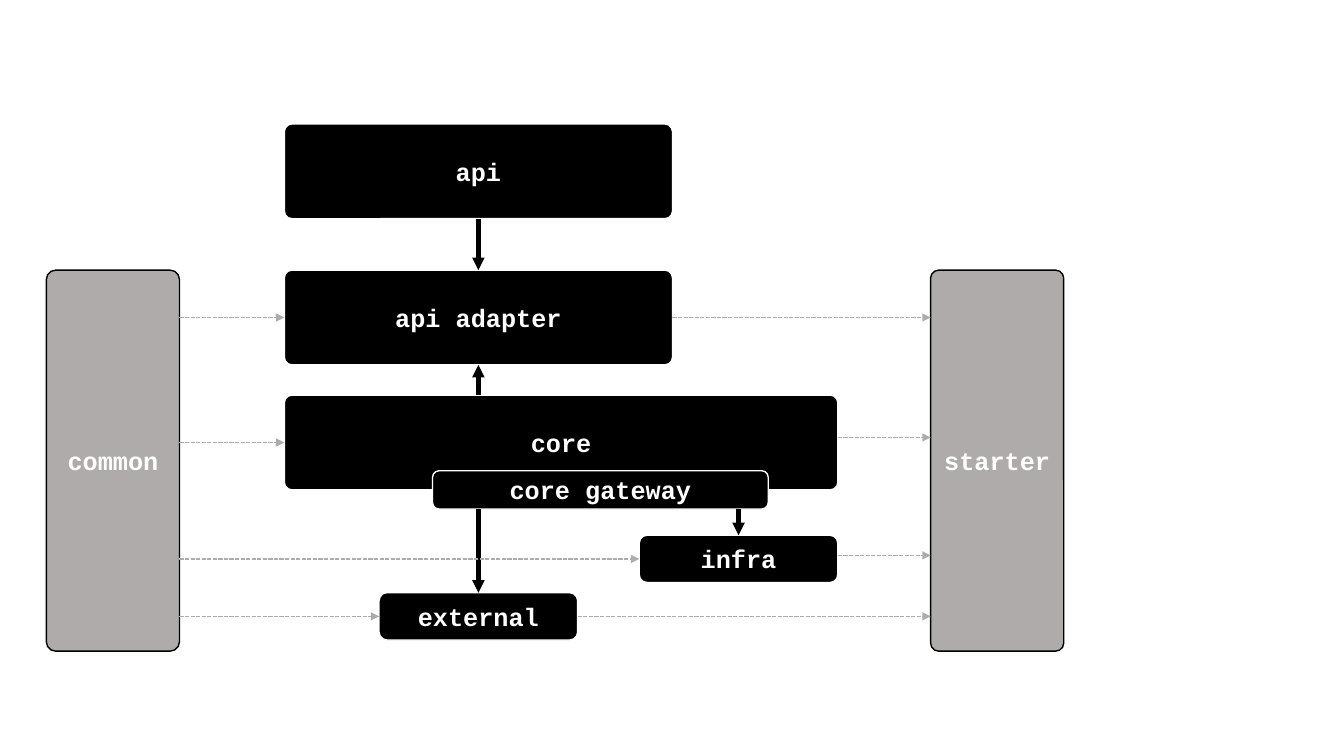
import pptx
import pptx.dml.color
import pptx.enum.dml
import pptx.enum.shapes
import pptx.enum.text
import pptx.oxml.ns
import pptx.util
from lxml import etree
from pptx.util import Inches

COLORS = {"black": "000000", "white": "FFFFFF", "gray": "AFABAB"}
TOP, LEFT, BOTTOM, RIGHT = range(4)
MODULE_X, MODULE_WIDTH, MODULE_HEIGHT = 2.82, 3.85, 0.94
SMALL_WIDTH, SMALL_HEIGHT = 1.97, 0.47
SIDE_Y, SIDE_WIDTH, SIDE_HEIGHT = 2.68, 1.32, 3.78
MODULE_ROUNDING, SMALL_ROUNDING = 0.08, 0.17


def rgb(name):
    return pptx.dml.color.RGBColor.from_string(COLORS[name])


def add_box(slide, text, left, top, width, height, rounding, fill="black", outline="white"):
    shape = slide.shapes.add_shape(
        pptx.enum.shapes.MSO_SHAPE.ROUNDED_RECTANGLE,
        Inches(left), Inches(top), Inches(width), Inches(height))
    shape.adjustments[0] = rounding
    shape.shadow.inherit = False
    shape.fill.solid()
    shape.fill.fore_color.rgb = rgb(fill)
    shape.line.color.rgb = rgb(outline)
    shape.line.width = pptx.util.Pt(1)
    frame = shape.text_frame
    frame.vertical_anchor = pptx.enum.text.MSO_ANCHOR.MIDDLE
    paragraph = frame.paragraphs[0]
    paragraph.text = text
    paragraph.alignment = pptx.enum.text.PP_ALIGN.CENTER
    paragraph.font.name = "Courier New"
    paragraph.font.size = pptx.util.Pt(18)
    paragraph.font.bold = True
    paragraph.font.color.rgb = rgb("white")
    return shape


def side_point(shape, side):
    """Return the middle of one side of a shape."""
    middle_x = shape.left + shape.width // 2
    middle_y = shape.top + shape.height // 2
    return {
        TOP: (middle_x, shape.top),
        LEFT: (shape.left, middle_y),
        BOTTOM: (middle_x, shape.top + shape.height),
        RIGHT: (shape.left + shape.width, middle_y),
    }[side]


def add_arrow(slide, start, end, color, width, dashed=False):
    connector = slide.shapes.add_connector(
        pptx.enum.shapes.MSO_CONNECTOR.STRAIGHT, *start, *end)
    connector.line.color.rgb = rgb(color)
    connector.line.width = pptx.util.Pt(width)
    if dashed:
        connector.line.dash_style = pptx.enum.dml.MSO_LINE.SQUARE_DOT
    qn = pptx.oxml.ns.qn
    etree.SubElement(connector.line._get_or_add_ln(), qn("a:tailEnd"), type="triangle")
    etree.SubElement(connector._element.spPr, qn("a:effectLst"))
    return connector


def add_dependency(slide, start_y, target, side):
    """Draw a solid vertical arrow joined to one side of the target."""
    end = side_point(target, side)
    connector = add_arrow(slide, (end[0], start_y), end, "black", 3)
    connector.end_connect(target, side)
    return connector


def add_common_use(slide, common, module):
    """Draw a dashed arrow from the common bar to a module."""
    end = side_point(module, LEFT)
    start = (common.left + common.width, end[1])
    add_arrow(slide, start, end, "gray", 1, dashed=True).end_connect(module, LEFT)


def add_starter_use(slide, module, starter, y=None):
    """Draw a dashed arrow to the starter bar, joined to the module unless y is given."""
    right, middle = side_point(module, RIGHT)
    height = middle if y is None else Inches(y)
    connector = add_arrow(slide, (right, height), (starter.left, height), "gray", 1, dashed=True)
    if y is None:
        connector.begin_connect(module, RIGHT)


def main():
    presentation = pptx.Presentation()
    presentation.slide_width = Inches(13.33)
    presentation.slide_height = Inches(7.5)
    slide = presentation.slides.add_slide(presentation.slide_layouts[6])

    api, adapter, core = [
        add_box(slide, text, MODULE_X, top, width, MODULE_HEIGHT, MODULE_ROUNDING)
        for text, top, width in (
            ("api", 1.23, MODULE_WIDTH),
            ("api adapter", 2.68, MODULE_WIDTH),
            ("core", 3.92, 5.49),
        )
    ]
    infra, external = [
        add_box(slide, text, left, top, SMALL_WIDTH, SMALL_HEIGHT, SMALL_ROUNDING)
        for text, left, top in (("infra", 6.34, 5.31), ("external", 3.76, 5.88))
    ]
    gateway = add_box(slide, "core gateway", 4.29, 4.67, 3.33, 0.38, SMALL_ROUNDING)
    common, starter = [
        add_box(slide, text, left, SIDE_Y, SIDE_WIDTH, SIDE_HEIGHT, rounding, "gray", "black")
        for text, left, rounding in (("common", 0.46, 0.07), ("starter", 9.23, 0.06))
    ]

    gateway_bottom = gateway.top + gateway.height
    api_arrow = add_dependency(slide, api.top + api.height, adapter, TOP)
    api_arrow.begin_connect(api, BOTTOM)
    add_dependency(slide, core.top, adapter, BOTTOM)
    add_dependency(slide, gateway_bottom, external, TOP)
    add_dependency(slide, gateway_bottom, infra, TOP)

    for module in (adapter, core, infra, external):
        add_common_use(slide, common, module)
    for module, y in ((adapter, None), (core, 4.34), (infra, 5.51), (external, None)):
        add_starter_use(slide, module, starter, y)

    presentation.save("out.pptx")


if __name__ == "__main__":
    main()
